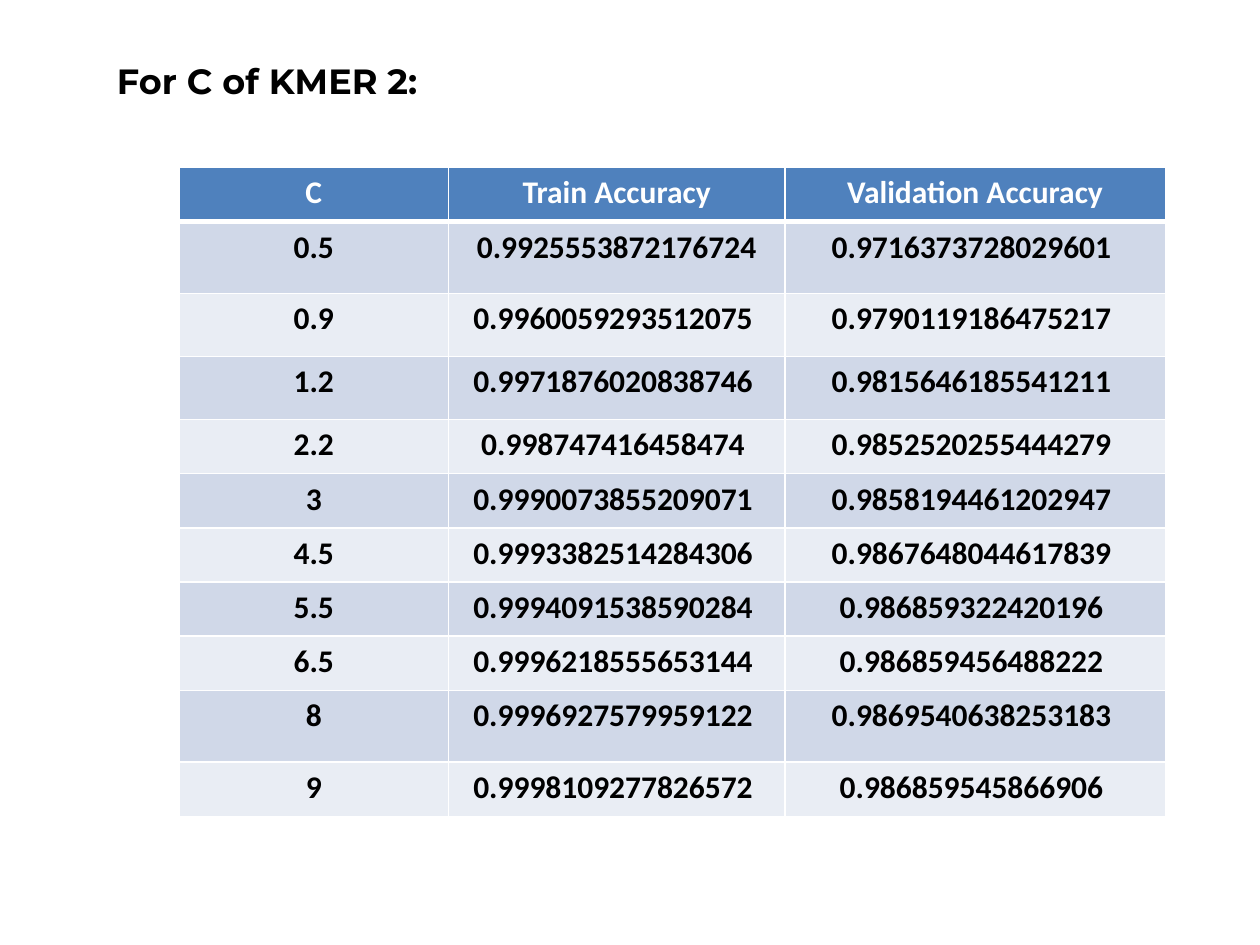
from lxml import etree
from pptx import Presentation
from pptx.dml.color import RGBColor
from pptx.enum import text
from pptx.oxml.ns import qn
from pptx.util import Inches, Pt

WIDE, HIGH = 10, 7.5
HEAD, BANDS = "4F81BD", ("D0D8E8", "E9EDF4")
COLS = (2.14, 2.67, 3.02)
TALL = {1: 0.57, 2: 0.5, 3: 0.5, 9: 0.57}
ROWS = [
    ("C", "Train Accuracy", "Validation Accuracy"),
    ("0.5", "0.9925553872176724", "0.9716373728029601 "),
    ("0.9", "0.9960059293512075 ", "0.9790119186475217 "),
    ("1.2", "0.9971876020838746 ", "0.9815646185541211 "),
    ("2.2", "0.998747416458474 ", "0.9852520255444279 "),
    ("3", "0.9990073855209071 ", "0.9858194461202947 "),
    ("4.5", "0.9993382514284306 ", "0.9867648044617839 "),
    ("5.5", "0.9994091538590284 ", "0.986859322420196 "),
    ("6.5", "0.9996218555653144 ", "0.986859456488222 "),
    ("8", "0.9996927579959122 ", "0.9869540638253183 "),
    ("9", "0.9998109277826572 ", "0.986859545866906 "),
]


def paint(target, tone):
    if hasattr(target, "solid"):
        target.solid()
        target = target.fore_color
    target.rgb = RGBColor.from_string(tone)


def write(frame, words, size=18, face="Calibri", tone="000000", align=text.PP_ALIGN.CENTER):
    para = frame.paragraphs[0]
    para.alignment = align
    run = para.add_run()
    run.text = words
    run.font.size, run.font.name, run.font.bold = Pt(size), face, True
    paint(run.font.color, tone)


def border(cell, **widths):
    props = cell._tc.get_or_add_tcPr()
    for side in "LRTB":
        line = etree.SubElement(props, qn("a:ln" + side), w=str(Pt(widths.get(side, 1))))
        fill = etree.SubElement(line, qn("a:solidFill"))
        etree.SubElement(fill, qn("a:srgbClr"), val="FFFFFF")


def title(slide, box):
    shape = slide.shapes.add_textbox(*map(Inches, box))
    frame = shape.text_frame
    frame.word_wrap = True
    frame.auto_size = text.MSO_AUTO_SIZE.SHAPE_TO_FIT_TEXT
    write(frame, "For C of KMER 2:", size=20, face="Montserrat", align=text.PP_ALIGN.LEFT)


def scores(slide, box):
    table = slide.shapes.add_table(len(ROWS), len(COLS), *map(Inches, box)).table
    for col, width in zip(table.columns, COLS):
        col.width = Inches(box[2] * width / sum(COLS))
    for y, row in enumerate(ROWS):
        table.rows[y].height = Inches(TALL.get(y, 0.43))
        for x, words in enumerate(row):
            cell = table.cell(y, x)
            border(cell, T=3 if y == 1 else 1, B=3 if y == 0 else 1)
            paint(cell.fill, BANDS[(y - 1) % 2] if y else HEAD)
            write(cell.text_frame, words, tone="000000" if y else "FFFFFF")


deck = Presentation()
deck.slide_width, deck.slide_height = Inches(WIDE), Inches(HIGH)
page = deck.slides.add_slide(deck.slide_layouts[6])
scores(page, (1.42, 1.33, sum(COLS), 5.13))
title(page, (0.83, 0.42, 2.83, 0.44))
deck.save("out.pptx")
